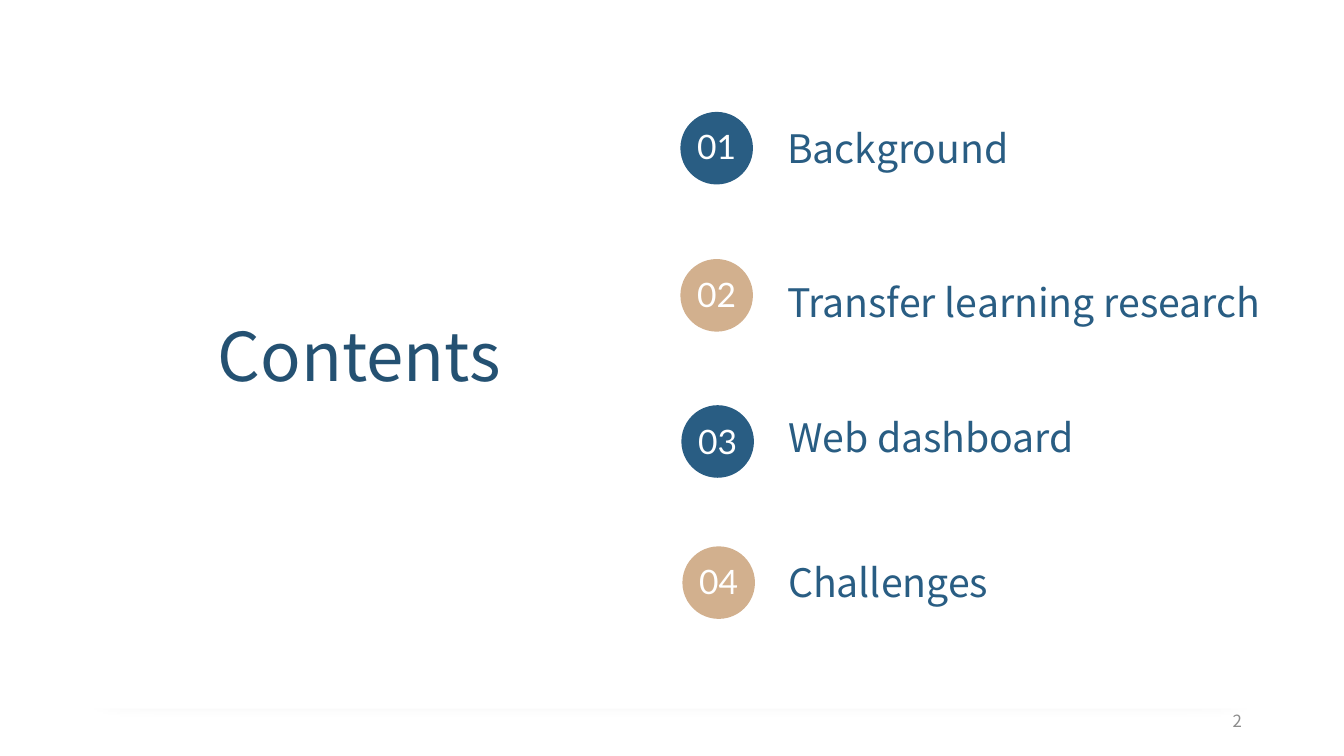
import pptx
import pptx.dml.color
import pptx.enum.shapes
import pptx.enum.text
import pptx.oxml
import pptx.oxml.ns
import pptx.util
from dataclasses import dataclass

ALIGN = pptx.enum.text.PP_ALIGN
ANCHOR = pptx.enum.text.MSO_ANCHOR
AUTO = pptx.enum.text.MSO_AUTO_SIZE
SHAPE = pptx.enum.shapes.MSO_SHAPE


@dataclass(frozen=True)
class Theme:
    blue: str = "295D83"
    heading_blue: str = "245172"
    tan: str = "D2B08E"
    white: str = "FFFFFF"
    shade: str = "262626"
    gray: str = "8C8C8C"
    text_font: str = "Noto Sans CJK SC"
    number_font: str = "Lato"
    heading_size: int = 48
    label_size: int = 28
    number_size: int = 24
    page_size: int = 12


class ContentsSlide:
    """Places elements on a grid of 40 columns and 30 rows."""

    def __init__(self, deck, theme):
        self.theme = theme
        self.column = deck.slide_width / 40
        self.row = deck.slide_height / 30
        self.slide = deck.slides.add_slide(deck.slide_layouts[5])

    def place(self, left, top, width, height):
        return (round(left * self.column), round(top * self.row),
                round(width * self.column), round(height * self.row))

    def block(self, kind, cell, color):
        block = self.slide.shapes.add_shape(kind, *self.place(*cell))
        block.shadow.inherit = False
        block.fill.solid()
        block.fill.fore_color.rgb = pptx.dml.color.RGBColor.from_string(color)
        block.line.fill.background()
        return block

    def soft_shade(self, cell, opacity, radius):
        """A translucent rectangle with blurred edges."""
        qn, namespace = pptx.oxml.ns.qn, pptx.oxml.ns.nsdecls("a")
        properties = self.block(SHAPE.RECTANGLE, cell, self.theme.shade)._element.spPr
        color = properties.find(qn("a:solidFill")).find(qn("a:srgbClr"))
        color.append(pptx.oxml.parse_xml(
            f'<a:alpha {namespace} val="{opacity * 1000}"/>'))
        properties.find(qn("a:effectLst")).append(pptx.oxml.parse_xml(
            f'<a:softEdge {namespace} rad="{int(pptx.util.Inches(radius))}"/>'))

    def fill_text(self, holder, words, size, color, font, align=ALIGN.LEFT,
                  anchor=ANCHOR.TOP, auto=AUTO.SHAPE_TO_FIT_TEXT):
        frame = holder.text_frame
        frame_format = {"word_wrap": True, "auto_size": auto, "vertical_anchor": anchor}
        for name, value in frame_format.items():
            setattr(frame, name, value)
        paragraph = frame.paragraphs[0]
        paragraph.alignment = align
        run = paragraph.add_run()
        run.text = words
        for name, value in {"name": font, "size": pptx.util.Pt(size)}.items():
            setattr(run.font, name, value)
        run.font.color.rgb = pptx.dml.color.RGBColor.from_string(color)

    def heading(self, words, cell):
        title = self.slide.shapes.title
        bounds = zip(("left", "top", "width", "height"), self.place(*cell))
        for name, value in bounds:
            setattr(title, name, value)
        # Bring the heading in front of the panel
        self.slide.shapes._spTree.append(title._element)
        self.fill_text(title, words, self.theme.heading_size, self.theme.heading_blue,
                       self.theme.text_font, ALIGN.CENTER)

    def text(self, cell, *content, **layout):
        holder = self.slide.shapes.add_textbox(*self.place(*cell))
        self.fill_text(holder, *content, **layout)


def main():
    deck = pptx.Presentation()
    deck.slide_width = pptx.util.Inches(13.33)
    deck.slide_height = pptx.util.Inches(7.5)
    theme = Theme()
    page = ContentsSlide(deck, theme)

    # White panel over its soft shade
    page.soft_shade((1.38, 4.68, 37.17, 24.52), opacity=40, radius=0.35)
    page.block(SHAPE.RECTANGLE, (1.62, 1.88, 36.75, 26.24), theme.white)

    # Heading
    page.heading("Contents ", (5.07, 12.28, 11.7, 3.64))

    # Chapters: label, its left, top and width, then badge left and top, number top
    chapters = [
        ("Background", 23.13, 4.72, 11.28, 20.25, 4.44, 4.8),
        ("Transfer learning research", 23.13, 10.84, 16.35, 20.25, 10.28, 10.68),
        ("Web dashboard", 23.16, 16.2, 11.28, 20.28, 16.08, 16.52),
        ("Challenges", 23.16, 21.96, 11.28, 20.31, 21.68, 22.08),
    ]
    for order, chapter in enumerate(chapters, start=1):
        label, left, top, width, badge_left, badge_top, number_top = chapter
        badge_color = theme.blue if order % 2 else theme.tan
        page.text((left, top, width, 2.28), label, theme.label_size, theme.blue,
                  theme.text_font)
        page.block(SHAPE.OVAL, (badge_left, badge_top, 2.16, 2.88), badge_color)
        page.text((badge_left - 0.03, number_top, 2.22, 2), f"{order:02}",
                  theme.number_size, theme.white, theme.number_font, align=ALIGN.CENTER)

    # Page number
    page.text((28.26, 27.8, 9, 1.6), "2", theme.page_size, theme.gray, theme.text_font,
              align=ALIGN.RIGHT, anchor=ANCHOR.MIDDLE, auto=AUTO.NONE)

    deck.save("out.pptx")


if __name__ == "__main__":
    main()
